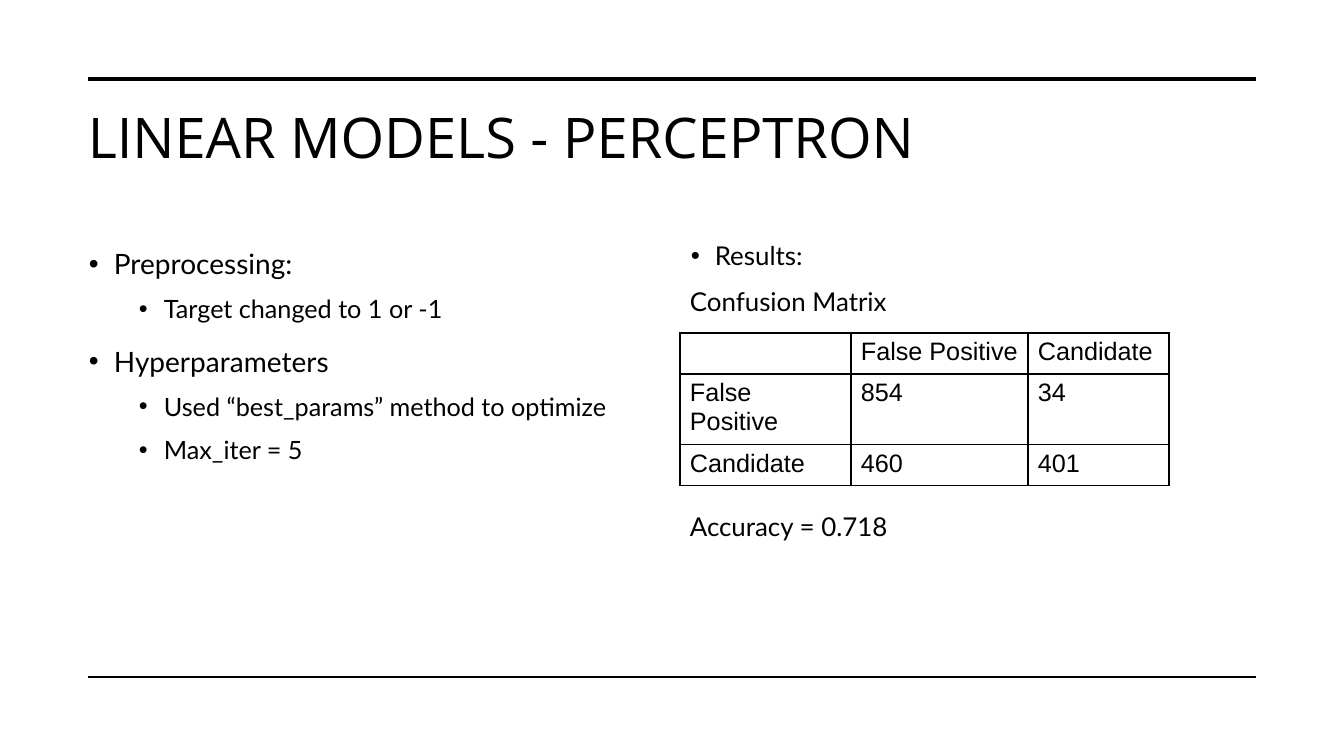
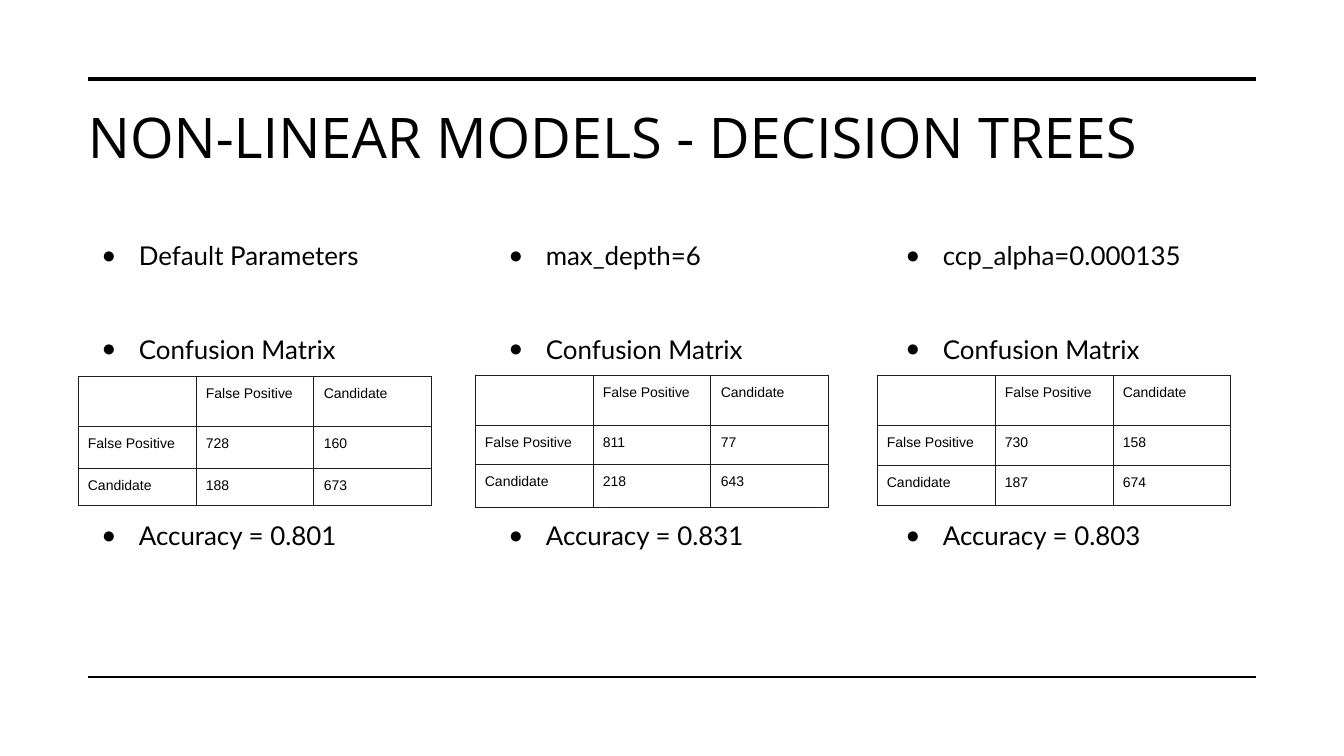
"""Build two slides on linear and non-linear classifiers with their confusion matrices."""
from lxml import etree
from pptx import Presentation
from pptx.dml.color import RGBColor
from pptx.enum.shapes import MSO_CONNECTOR as Connector
from pptx.enum.text import MSO_ANCHOR as Anchor
from pptx.oxml.ns import qn
from pptx.util import Pt

PX = 914400 / 100.8
BLACK = RGBColor(0, 0, 0)
NAVY = RGBColor(0x1C, 0x1C, 0x32)
TITLE_FONT, BODY_FONT, TABLE_FONT = "Open Sans", "Lato", "Arial"

RULES = [(79, 3.5), (677, 1)]
RULE_LEFT, RULE_RIGHT = 88, 1256
TITLE_BOX = (78, 102, 1178, 124)
BODY_TOP, BODY_HEIGHT = 235, 423
CLASSES = ["False Positive", "Candidate"]

TOPIC = dict(size=20, indent=25, hang=25, bullet="•", spacing=1.2)
DETAIL = dict(size=18, indent=75, hang=25, bullet="•", spacing=1.2, before=5)
RESULT = dict(size=18.5, indent=25, hang=24, bullet="•")
PLAIN = dict(size=18.5, before=10)
FINDING = dict(size=18.5, indent=50, hang=37, bullet="●", bullet_pct=90)

PERCEPTRON_TITLE = "LINEAR MODELS - PERCEPTRON"
SETUP = [
    ("Preprocessing:", TOPIC),
    ("Target changed to 1 or -1", DETAIL),
    ("Hyperparameters", TOPIC | dict(before=10)),
    ("Used “best_params” method to optimize", DETAIL),
    ("Max_iter = 5", DETAIL),
]
RESULTS = [
    ("Results:", RESULT),
    ("Confusion Matrix", PLAIN),
    ("Accuracy = 0.718", PLAIN | dict(before=139)),
]
PERCEPTRON_COUNTS = [(854, 34), (460, 401)]

TREES_TITLE = "NON-LINEAR MODELS - DECISION TREES"
TREES = [
    dict(setting="Default Parameters", accuracy="0.801", text_left=79,
         counts=[(728, 160), (188, 673)], corner=(78, 376), rows=[48, 42, 35]),
    dict(setting="max_depth=6", accuracy="0.831", text_left=486,
         counts=[(811, 77), (218, 643)], corner=(475, 375), rows=[48, 39, 43]),
    dict(setting="ccp_alpha=0.000135", accuracy="0.803", text_left=883,
         counts=[(730, 158), (187, 674)], corner=(877, 375), rows=[48, 40, 40]),
]
TREE_TEXT_WIDTH, TREE_COLUMN = 372, 118


def px(*lengths):
    return [round(length * PX) for length in lengths]


def add_run(paragraph, text, font, size):
    run = paragraph.add_run()
    run.text = text
    run.font.name, run.font.size = font, Pt(size)
    run.font.color.rgb = BLACK


def add_bullet(paragraph, char, indent, hang, percent):
    props = paragraph._p.get_or_add_pPr()
    left, first = px(indent, -hang)
    props.set("marL", str(left))
    props.set("indent", str(first))
    colour = etree.SubElement(props, qn("a:buClr"))
    etree.SubElement(colour, qn("a:srgbClr"), val=str(BLACK))
    etree.SubElement(props, qn("a:buSzPct"), val=str(percent * 1000))
    etree.SubElement(props, qn("a:buFont"), typeface="Arial")
    etree.SubElement(props, qn("a:buChar"), char=char)


def add_text(slide, box, lines, font=BODY_FONT):
    frame = slide.shapes.add_textbox(*px(*box)).text_frame
    frame.word_wrap = True
    frame.vertical_anchor = Anchor.TOP
    for number, (text, style) in enumerate(lines):
        paragraph = frame.add_paragraph() if number else frame.paragraphs[0]
        paragraph.line_spacing = style.get("spacing", 1.0)
        paragraph.space_before = Pt(style.get("before", 0))
        if "bullet" in style:
            add_bullet(paragraph, style["bullet"], style["indent"],
                       style["hang"], style.get("bullet_pct", 100))
        add_run(paragraph, text, font, style["size"])


def add_borders(cell, colour, width):
    props = cell._tc.get_or_add_tcPr()
    for side in ("lnL", "lnR", "lnT", "lnB"):
        line = etree.SubElement(props, qn(f"a:{side}"), w=str(Pt(width)))
        fill = etree.SubElement(line, qn("a:solidFill"))
        etree.SubElement(fill, qn("a:srgbClr"), val=str(colour))


def add_matrix(slide, corner, columns, rows, counts, size, colour, border, inset):
    cells = [["", *CLASSES]]
    cells += [[name, *map(str, row)] for name, row in zip(CLASSES, counts)]
    box = px(*corner, sum(columns), sum(rows))
    matrix = slide.shapes.add_table(len(rows), len(columns), *box).table
    matrix.first_row = matrix.horz_banding = False
    for column, width in zip(matrix.columns, px(*columns)):
        column.width = width
    for row, height, texts in zip(matrix.rows, px(*rows), cells):
        row.height = height
        for cell, text in zip(row.cells, texts):
            cell.margin_left, cell.margin_right = px(10, 10)
            cell.margin_top, cell.margin_bottom = px(inset, inset)
            add_borders(cell, colour, border)
            cell.fill.background()
            if text:
                add_run(cell.text_frame.paragraphs[0], text, TABLE_FONT, size)


def add_slide(deck, title):
    slide = deck.slides.add_slide(deck.slide_layouts[6])
    for y, weight in RULES:
        rule = slide.shapes.add_connector(
            Connector.STRAIGHT, *px(RULE_LEFT, y, RULE_RIGHT, y))
        rule.line.color.rgb, rule.line.width = BLACK, Pt(weight)
        etree.SubElement(rule._element.spPr, qn("a:effectLst"))
    add_text(slide, TITLE_BOX, [(title, dict(size=40, spacing=0.95))], TITLE_FONT)
    return slide


def build_perceptron(deck):
    slide = add_slide(deck, PERCEPTRON_TITLE)
    add_text(slide, (79, BODY_TOP, 585, BODY_HEIGHT), SETUP)
    add_text(slide, (680, BODY_TOP, 576, BODY_HEIGHT), RESULTS)
    add_matrix(slide, (680, 333), [171, 177, 141], [41, 66, 41],
               PERCEPTRON_COUNTS, 18, BLACK, 1, 5)


def build_trees(deck):
    slide = add_slide(deck, TREES_TITLE)
    for tree in TREES:
        findings = [
            (tree["setting"], FINDING),
            ("Confusion Matrix", FINDING | dict(before=44.4)),
            (f"Accuracy = {tree['accuracy']}", FINDING | dict(before=111)),
        ]
        add_text(slide, (tree["text_left"], BODY_TOP, TREE_TEXT_WIDTH, BODY_HEIGHT),
                 findings)
        add_matrix(slide, tree["corner"], [TREE_COLUMN] * 3, tree["rows"],
                   tree["counts"], 10, NAVY, 0.75, 10)


def main():
    deck = Presentation()
    deck.slide_width, deck.slide_height = px(1344, 756)
    build_perceptron(deck)
    build_trees(deck)
    deck.save("out.pptx")


if __name__ == "__main__":
    main()
